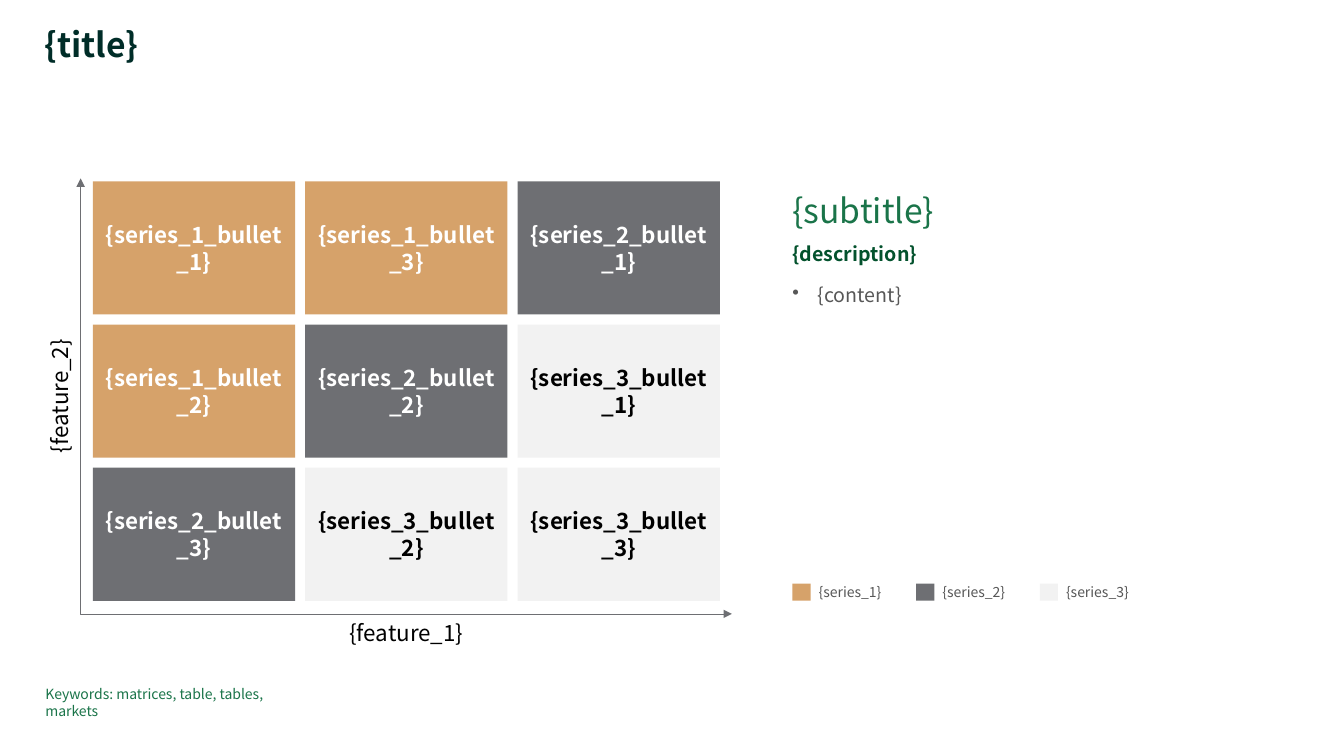
import pptx
import pptx.dml.color
import pptx.enum.shapes
import pptx.enum.text
import pptx.oxml
import pptx.oxml.ns
import pptx.util
from lxml import etree

RGBColor = pptx.dml.color.RGBColor
Inches = pptx.util.Inches
ALIGN = pptx.enum.text.PP_ALIGN
ANCHOR = pptx.enum.text.MSO_ANCHOR
RECTANGLE = pptx.enum.shapes.MSO_SHAPE.RECTANGLE

FONT = "Noto Sans CJK JP"
BLACK = RGBColor(0x00, 0x00, 0x00)
WHITE = RGBColor(0xFF, 0xFF, 0xFF)
TAN = RGBColor(0xD6, 0xA2, 0x6A)
SLATE = RGBColor(0x6E, 0x6F, 0x73)
PALE = RGBColor(0xF2, 0xF2, 0xF2)
BODY_GREY = RGBColor(0x57, 0x57, 0x57)
TITLE_GREEN = RGBColor(0x00, 0x2D, 0x28)
DEEP_GREEN = RGBColor(0x03, 0x52, 0x2D)
GREEN = RGBColor(0x1A, 0x74, 0x49)

# series number: (fill, text colour)
SERIES = {1: (TAN, WHITE), 2: (SLATE, WHITE), 3: (PALE, BLACK)}
# rows of (series, bullet)
MATRIX = [
    [(1, 1), (1, 3), (2, 1)],
    [(1, 2), (2, 2), (3, 1)],
    [(2, 3), (3, 2), (3, 3)],
]


def write(shape, text, size, color, bold=False, align=ALIGN.LEFT,
          anchor=ANCHOR.TOP, margin=0, wrap=True, **paragraph_format):
    """Put one formatted paragraph into a shape and return the paragraph."""
    frame = shape.text_frame
    inset = Inches(margin)
    frame_format = {"word_wrap": wrap, "vertical_anchor": anchor,
                    "margin_left": inset, "margin_right": inset,
                    "margin_top": inset, "margin_bottom": inset}
    for name, value in frame_format.items():
        setattr(frame, name, value)
    paragraph = frame.paragraphs[0]
    for name, value in {"alignment": align, **paragraph_format}.items():
        setattr(paragraph, name, value)
    run = paragraph.add_run()
    run.text = text
    font_format = {"name": FONT, "size": pptx.util.Pt(size), "bold": bold}
    for name, value in font_format.items():
        setattr(run.font, name, value)
    run.font.color.rgb = color
    return paragraph


def add_text(shapes, box, text, size, color, **text_format):
    shape = shapes.add_textbox(*map(Inches, box))
    paragraph = write(shape, text, size, color, **text_format)
    return shape, paragraph


def add_block(shapes, box, fill):
    block = shapes.add_shape(RECTANGLE, *map(Inches, box))
    block.shadow.inherit = False
    block.fill.solid()
    block.fill.fore_color.rgb = fill
    block.line.fill.background()
    return block


def add_axes(shapes, box):
    """Draw an L-shaped line with arrowheads and a label for each arm."""
    left, top, width, height = box
    bottom = top + height
    builder = shapes.build_freeform(Inches(left), Inches(top))
    builder.add_line_segments(
        [(Inches(left), Inches(bottom)), (Inches(left + width), Inches(bottom))],
        close=False)
    axes = builder.convert_to_shape()
    axes.shadow.inherit = False
    axes.fill.background()
    axes.line.color.rgb = SLATE
    axes.line.width = pptx.util.Pt(0.5)
    line = axes.line._get_or_add_ln()
    for end in ("a:headEnd", "a:tailEnd"):
        etree.SubElement(line, pptx.oxml.ns.qn(end), type="triangle")

    label_format = {"align": ALIGN.CENTER, "anchor": ANCHOR.MIDDLE}
    add_text(shapes, (left, bottom + 0.05, width, 0.27), "{feature_1}", 16,
             BLACK, **label_format)
    label, _ = add_text(shapes, (left - 0.34, top, 0.27, height), "{feature_2}",
                        16, BLACK, **label_format)
    label.text_frame._txBody.bodyPr.set("vert", "vert270")


def add_matrix(shapes, box, gap=0.1):
    left, top, width, height = box
    row_step = (height + gap) / len(MATRIX)
    column_step = (width + gap) / len(MATRIX[0])
    for row, cells in enumerate(MATRIX):
        for column, (series, bullet) in enumerate(cells):
            fill, color = SERIES[series]
            cell = add_block(
                shapes, (left + column * column_step, top + row * row_step,
                         column_step - gap, row_step - gap), fill)
            write(cell, f"{{series_{series}_bullet_{bullet}}}", 16, color,
                  bold=True, align=ALIGN.CENTER, anchor=ANCHOR.MIDDLE,
                  margin=0.08)


def add_commentary(shapes, box):
    left, top, width, height = box
    after = pptx.util.Pt(6)
    add_text(shapes, (left, top, width, 0.4), "{subtitle}", 24, GREEN,
             space_after=after)
    add_text(shapes, (left, top + 0.52, width, 0.24), "{description}", 14,
             DEEP_GREEN, bold=True, space_after=after)
    _, paragraph = add_text(shapes, (left, top + 0.93, width, height - 0.93),
                            "{content}", 14, BODY_GREY,
                            space_before=pptx.util.Pt(10))
    properties = paragraph._p.get_or_add_pPr()
    properties.set("marL", str(Inches(0.25)))
    properties.set("indent", str(-Inches(0.25)))
    etree.SubElement(properties, pptx.oxml.ns.qn("a:buChar"), char="•")


def add_legend(shapes, box):
    left, top, width, height = box
    step = width / len(SERIES)
    for index, (series, (fill, _)) in enumerate(SERIES.items()):
        entry = shapes.add_group_shape().shapes
        entry_left = left + index * step
        add_block(entry, (entry_left, top, 0.18, height), fill)
        add_text(entry, (entry_left + 0.26, top, 0.81, height),
                 f"{{series_{series}}}", 10, BODY_GREY, wrap=False,
                 anchor=ANCHOR.MIDDLE)


def main():
    presentation = pptx.Presentation()
    presentation.slide_width = Inches(13.33)
    presentation.slide_height = Inches(7.5)
    slide = presentation.slides.add_slide(presentation.slide_layouts[6])
    shapes = slide.shapes
    add_text(shapes, (0.44, 0.28, 11.03, 0.37), "{title}", 24, TITLE_GREEN,
             bold=True, line_spacing=0.9)
    add_axes(shapes, (0.8, 1.77, 6.46, 4.32))
    add_matrix(shapes, (0.92, 1.8, 6.22, 4.16))
    add_commentary(shapes, (7.86, 1.88, 5.06, 1.17))
    add_legend(shapes, (7.86, 5.79, 3.68, 0.17))
    add_text(shapes, (0.45, 6.8, 2.62, 0.17),
             "Keywords: matrices, table, tables, markets", 10, GREEN,
             space_after=pptx.util.Pt(1.1))
    presentation.save("out.pptx")


if __name__ == "__main__":
    main()
